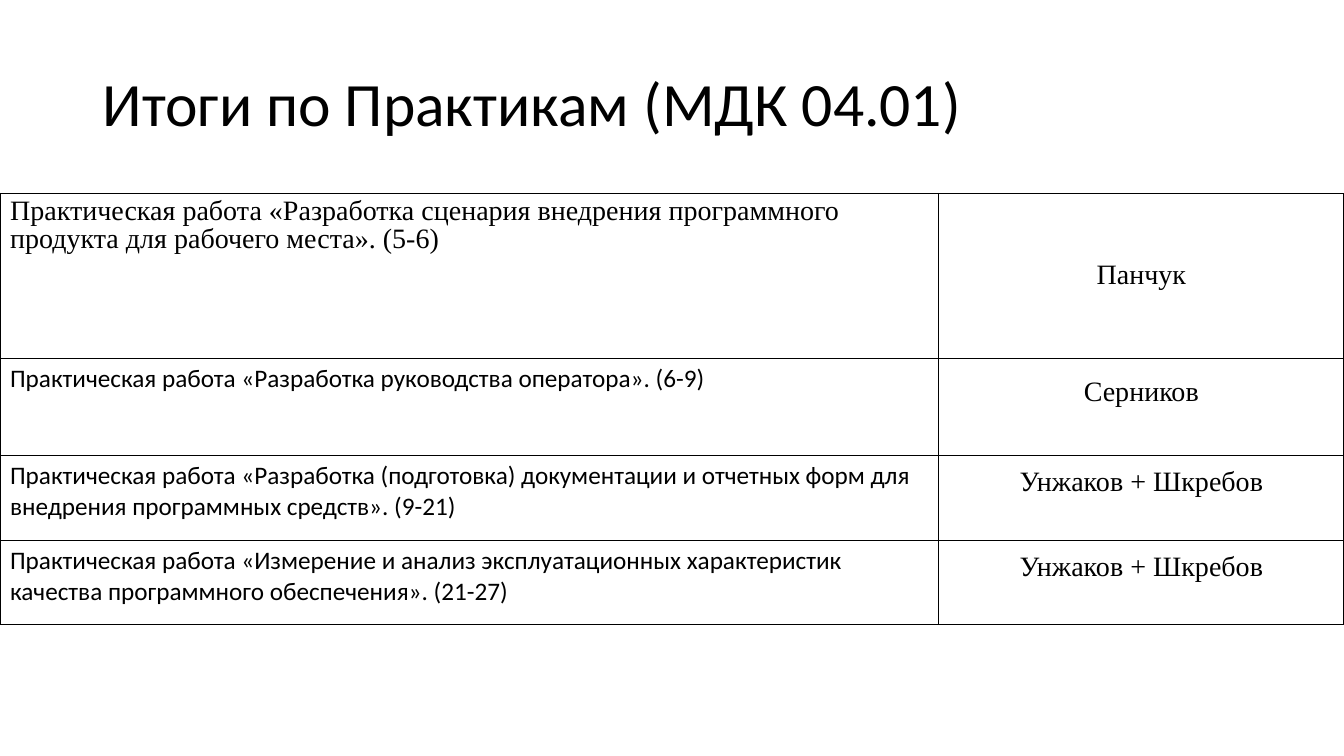
import dataclasses
import pptx
import pptx.util
import pptx.dml.color
import pptx.enum.text
import pptx.oxml
import pptx.oxml.ns

Inches = pptx.util.Inches
Pt = pptx.util.Pt
Align = pptx.enum.text.PP_ALIGN
Anchor = pptx.enum.text.MSO_ANCHOR


@dataclasses.dataclass(frozen=True)
class Theme:
    ink: str = "000000"
    paper: str = "FFFFFF"
    sans: str = "Calibri"
    serif: str = "Times New Roman"
    title_size: int = 44
    large_size: int = 20
    body_size: int = 18
    border_width: int = 1


THEME = Theme()
COLUMN_WIDTHS = (9.31, 4.02)
ROW_HEIGHTS = (1.64, 0.96, 0.84, 0.84)
PRACTICES = (
    ("Практическая работа «Разработка сценария внедрения программного продукта для рабочего места». (5-6)", "Панчук"),
    ("Практическая работа «Разработка руководства оператора». (6-9)", "Серников"),
    ("Практическая работа «Разработка (подготовка) документации и отчетных форм для внедрения программных средств». (9-21)", "Унжаков + Шкребов"),
    ("Практическая работа «Измерение и анализ эксплуатационных характеристик качества программного обеспечения». (21-27)", "Унжаков + Шкребов"),
)


def color(value):
    return pptx.dml.color.RGBColor.from_string(value)


def write(tf, text, font, size, align=Align.LEFT, spacing=1.0, before=0):
    p = tf.paragraphs[0]
    p.alignment = align
    p.line_spacing = spacing
    p.space_before = Pt(before)
    r = p.add_run()
    r.text = text
    r.font.name = font
    r.font.size = Pt(size)
    r.font.color.rgb = color(THEME.ink)


def add_title(s, text):
    sp = s.shapes.title
    sp.left, sp.top = Inches(0.92), Inches(0.63)
    sp.width, sp.height = Inches(11.5), Inches(0.85)
    tf = sp.text_frame
    tf.word_wrap = True
    tf.auto_size = pptx.enum.text.MSO_AUTO_SIZE.NONE
    tf.vertical_anchor = Anchor.MIDDLE
    write(tf, text, THEME.sans, THEME.title_size, spacing=0.9)


def set_borders(cell):
    properties = cell._tc.get_or_add_tcPr()
    for index, side in enumerate(("lnL", "lnR", "lnT", "lnB")):
        line = pptx.oxml.parse_xml(
            f'<a:{side} {pptx.oxml.ns.nsdecls("a")} w="{Pt(THEME.border_width)}">'
            f'<a:solidFill><a:srgbClr val="{THEME.ink}"/></a:solidFill></a:{side}>'
        )
        properties.insert(index, line)


def format_cell(cell):
    cell.fill.solid()
    cell.fill.fore_color.rgb = color(THEME.paper)
    set_borders(cell)


def add_practice_table(s):
    table = s.shapes.add_table(
        len(PRACTICES), len(COLUMN_WIDTHS), Inches(0), Inches(1.92),
        Inches(sum(COLUMN_WIDTHS)), Inches(sum(ROW_HEIGHTS)),
    ).table
    table.first_row = False
    table.horz_banding = False
    for column, width in zip(table.columns, COLUMN_WIDTHS):
        column.width = Inches(width)
    for index, (work, student) in enumerate(PRACTICES):
        row = table.rows[index]
        row.height = Inches(ROW_HEIGHTS[index])
        work_cell, student_cell = row.cells
        first = index == 0
        font, size = (THEME.serif, THEME.large_size) if first else (THEME.sans, THEME.body_size)
        spacing, before = (0.9, 10) if first else (1.0, 0)
        write(work_cell.text_frame, work, font, size, spacing=spacing, before=before)
        write(student_cell.text_frame, student, THEME.serif, THEME.large_size,
              Align.CENTER, spacing, before)
        student_cell.vertical_anchor = Anchor.MIDDLE
        if not first:
            student_cell.margin_bottom = Inches(0.36)
        for cell in row.cells:
            format_cell(cell)


def main():
    prs = pptx.Presentation()
    prs.slide_width, prs.slide_height = Inches(13.33), Inches(7.5)
    s = prs.slides.add_slide(prs.slide_layouts.get_by_name("Title Only"))
    add_title(s, "Итоги по Практикам (МДК 04.01)")
    add_practice_table(s)
    prs.save("out.pptx")


main()
